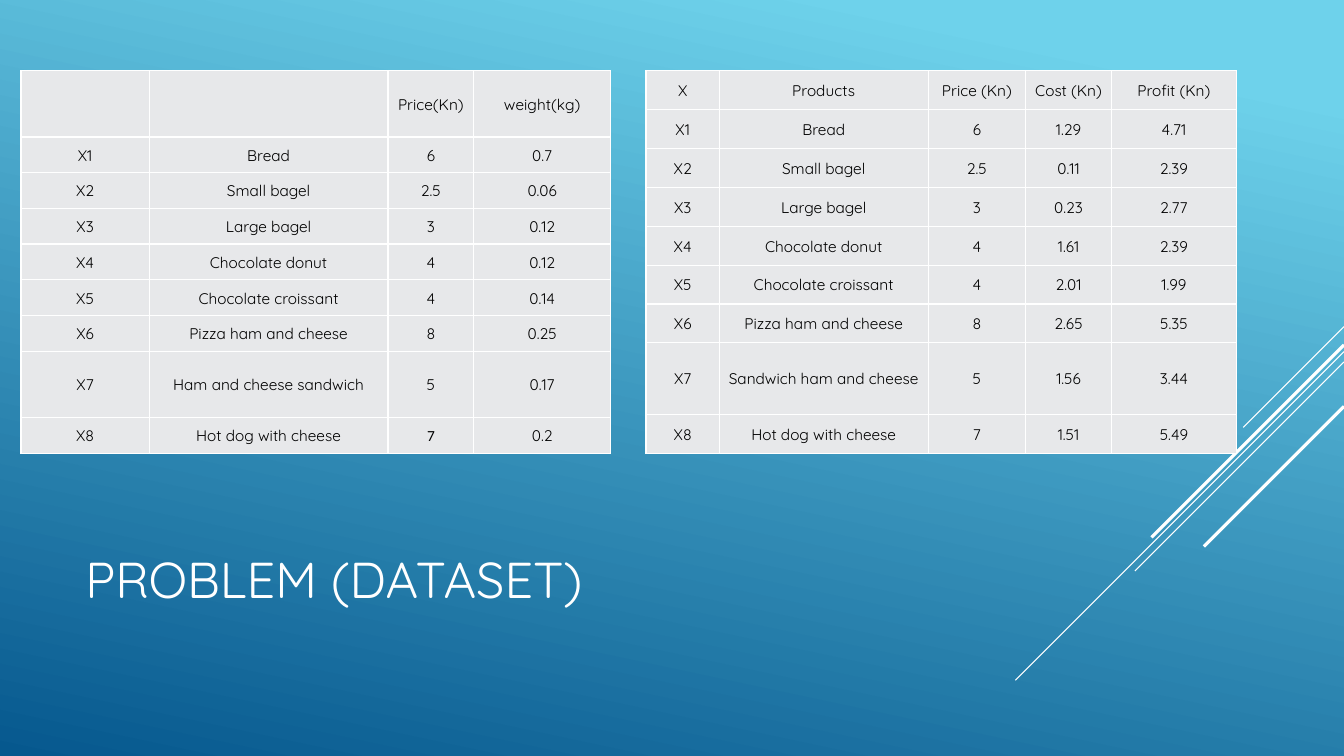
"""Build the dataset slide: two product tables, a title and diagonal accent lines."""
from lxml.etree import SubElement
from pptx import Presentation
from pptx.dml.color import RGBColor
from pptx.enum.shapes import MSO_CONNECTOR as Connector
from pptx.enum.text import MSO_ANCHOR as Anchor, PP_ALIGN as Align
from pptx.oxml.ns import qn
from pptx.util import Cm, Pt

WHITE = RGBColor(0xFF, 0xFF, 0xFF)
BLACK = RGBColor(0, 0, 0)
CELL_GREY = RGBColor(0xE7, 0xE8, 0xEA)
SKY = RGBColor(0x6E, 0xD2, 0xEB)
OCEAN = RGBColor(0x06, 0x58, 0x8E)
FONT = "Quicksand"
WIDTH, HEIGHT = 33.87, 19.05
TABLE_TOP = 1.78

TITLE = "PROBLEM (DATASET)"

WEIGHTS = {
    "left": 0.53,
    "columns": (3.23, 6.02, 2.16, 3.45),
    "row_height": 0.9,
    "tall_rows": {0: 1.67, 7: 1.67},
    "fonts": {(8, 2): "Calibri"},
    "rows": [
        ("", "", "Price(Kn)", "weight(kg)"),
        ("X1", "Bread", "6", "0.7"),
        ("X2", "Small bagel", "2.5", "0.06"),
        ("X3", "Large bagel", "3", "0.12"),
        ("X4", "Chocolate donut", "4", "0.12"),
        ("X5", "Chocolate croissant", "4", "0.14"),
        ("X6", "Pizza ham and cheese", "8", "0.25"),
        ("X7", "Ham and cheese sandwich", "5", "0.17"),
        ("X8", "Hot dog with cheese", "7", "0.2"),
    ],
}

PROFITS = {
    "left": 16.28,
    "columns": (1.85, 5.26, 2.46, 2.16, 3.15),
    "row_height": 0.98,
    "tall_rows": {7: 1.8},
    "fonts": {},
    "rows": [
        ("X", "Products", "Price (Kn)", "Cost (Kn)", "Profit (Kn)"),
        ("X1", "Bread", "6", "1.29", "4.71"),
        ("X2", "Small bagel", "2.5", "0.11", "2.39"),
        ("X3", "Large bagel", "3", "0.23", "2.77"),
        ("X4", "Chocolate donut", "4", "1.61", "2.39"),
        ("X5", "Chocolate croissant", "4", "2.01", "1.99"),
        ("X6", "Pizza ham and cheese", "8", "2.65", "5.35"),
        ("X7", "Sandwich ham and cheese", "5", "1.56", "3.44"),
        ("X8", "Hot dog with cheese", "7", "1.51", "5.49"),
    ],
}

# (start height on the right edge, run to the left and down, points)
DIAGONALS = [
    (8.23, 2.54, 0.75),
    (8.86, 8.28, 0.75),
    (9.12, 5.27, 0.75),
    (8.69, 4.85, 2.25),
    (10.24, 3.53, 2.25),
]


def paint_background(page):
    fill = page.background.fill
    fill.gradient()
    fill.gradient_angle = 360 - 102
    for stop, position, color in zip(fill.gradient_stops, (0.1, 1), (SKY, OCEAN)):
        stop.position = position
        stop.color.rgb = color


def add_diagonal(page, top, run, points):
    line = page.shapes.add_connector(
        Connector.STRAIGHT, Cm(WIDTH), Cm(top), Cm(WIDTH - run), Cm(top + run))
    line.line.color.rgb = WHITE
    line.line.width = Pt(points)
    SubElement(line._element.spPr, qn("a:effectLst"))


def write(para, text, size, color, font=FONT):
    span = para.add_run()
    span.text = text
    span.font.size = Pt(size)
    span.font.name = font
    span.font.color.rgb = color


def add_title(page):
    box = page.shapes.add_textbox(Cm(1.9), Cm(12.47), Cm(23.7), Cm(4.19))
    frame = box.text_frame
    frame.word_wrap = True
    frame.vertical_anchor = Anchor.MIDDLE
    write(frame.paragraphs[0], TITLE, 36, WHITE)


def style_cell(cell):
    properties = cell._tc.get_or_add_tcPr()
    for side in ("lnL", "lnR", "lnT", "lnB"):
        border = SubElement(properties, qn(f"a:{side}"), w=str(Pt(1)))
        paint = SubElement(border, qn("a:solidFill"))
        SubElement(paint, qn("a:srgbClr"), val=str(WHITE))
    cell.fill.solid()
    cell.fill.fore_color.rgb = CELL_GREY
    cell.vertical_anchor = Anchor.MIDDLE
    cell.margin_left = cell.margin_right = cell.margin_top = Cm(0.03)
    cell.margin_bottom = 0


def add_data_table(page, data):
    rows, columns = data["rows"], data["columns"]
    heights = [data["tall_rows"].get(index, data["row_height"])
               for index in range(len(rows))]
    table = page.shapes.add_table(
        len(rows), len(columns), Cm(data["left"]), Cm(TABLE_TOP),
        Cm(sum(columns)), Cm(sum(heights))).table
    table.first_row = table.horz_banding = False
    for column, width in zip(table.columns, columns):
        column.width = Cm(width)
    for row, height in zip(table.rows, heights):
        row.height = Cm(height)
    for row_index, values in enumerate(rows):
        for column_index, value in enumerate(values):
            cell = table.cell(row_index, column_index)
            style_cell(cell)
            if value:
                para = cell.text_frame.paragraphs[0]
                para.alignment = Align.CENTER
                font = data["fonts"].get((row_index, column_index), FONT)
                write(para, value, 11, BLACK, font)


def main():
    deck = Presentation()
    deck.slide_width, deck.slide_height = Cm(WIDTH), Cm(HEIGHT)
    page = deck.slides.add_slide(deck.slide_layouts[6])
    paint_background(page)
    for diagonal in DIAGONALS:
        add_diagonal(page, *diagonal)
    add_title(page)
    for data in (WEIGHTS, PROFITS):
        add_data_table(page, data)
    deck.save("out.pptx")


if __name__ == "__main__":
    main()
